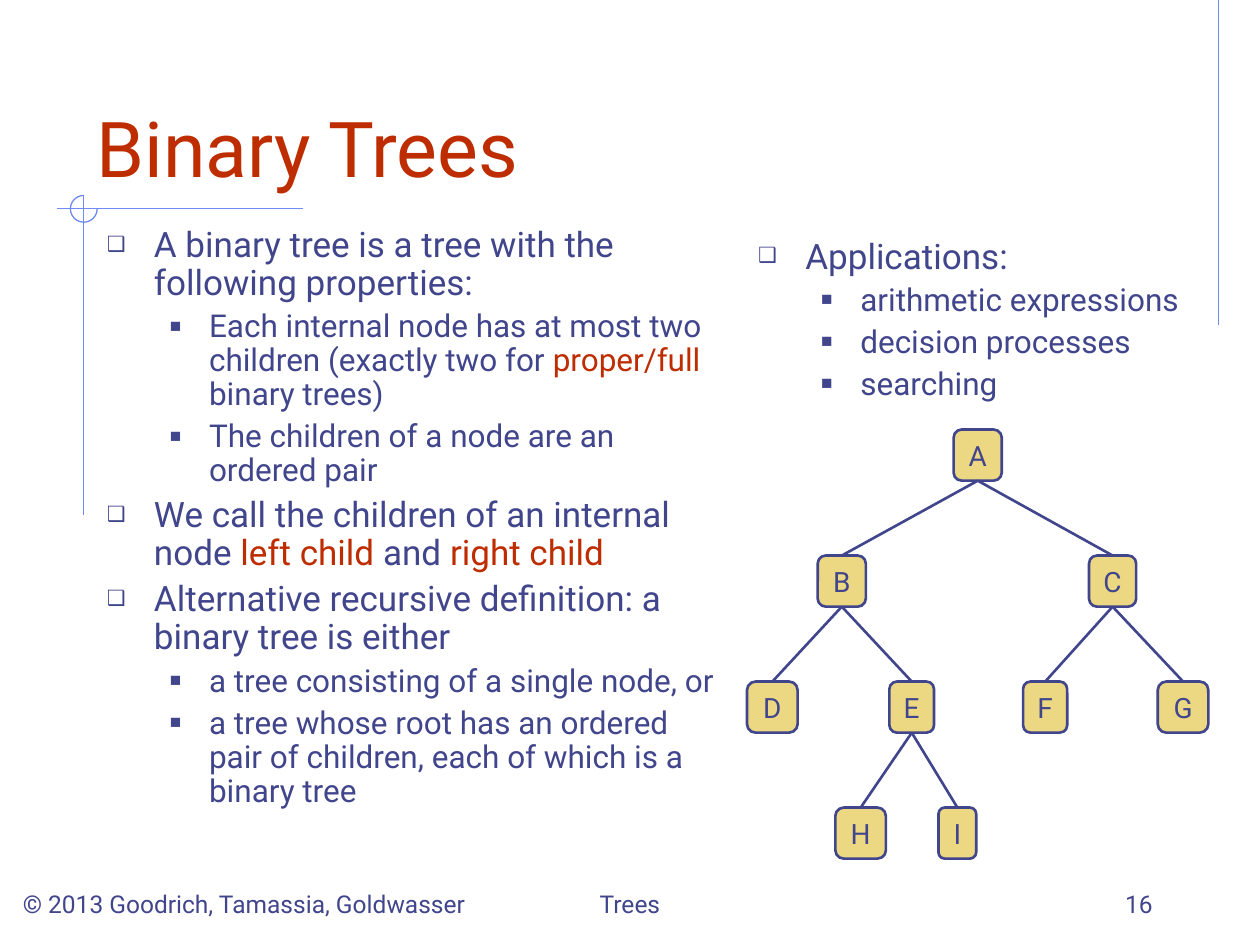
from dataclasses import dataclass
from typing import NamedTuple

from lxml import etree
from pptx import Presentation
from pptx.dml.color import RGBColor
from pptx.enum import shapes, text
from pptx.oxml import ns
from pptx.util import Cm, Pt


@dataclass(frozen=True)
class Theme:
    font: str = "Roboto"
    ink: str = "40458C"
    accent: str = "BE2D00"
    rule: str = "6F89F7"
    node: str = "ECD882"
    title_size: float = 44
    node_size: float = 16
    footer_size: float = 14


class Box(NamedTuple):
    left: float
    top: float
    width: float
    height: float


class ListLevel(NamedTuple):
    size: float
    bullet: str
    margin: float
    hanging: float
    space_before: float


class Item(NamedTuple):
    level: int
    content: str  # parts between asterisks take the accent colour


class Node(NamedTuple):
    center: float
    depth: int
    width: float
    parent: str


THEME = Theme()
LEVELS = (ListLevel(20, "❑", 0.95, 0.95, 5), ListLevel(18, "■", 2.06, 0.79, 4.5))

PROPERTIES = (
    Item(0, "A binary tree is a tree with the following properties:"),
    Item(1, "Each internal node has at most two children "
            "(exactly two for *proper/full* binary trees)"),
    Item(1, "The children of a node are an ordered pair"),
    Item(0, "We call the children of an internal node *left child* and *right child*"),
    Item(0, "Alternative recursive definition: a binary tree is either"),
    Item(1, "a tree consisting of a single node, or"),
    Item(1, "a tree whose root has an ordered pair of children, "
            "each of which is a binary tree"),
)
APPLICATIONS = (
    Item(0, "Applications:"),
    Item(1, "arithmetic expressions"),
    Item(1, "decision processes"),
    Item(1, "searching"),
)

TREE = {
    "A": Node(19.71, 0, 0.97, ""),
    "B": Node(16.97, 1, 0.97, "A"),
    "C": Node(22.43, 1, 0.95, "A"),
    "D": Node(15.57, 2, 1.02, "B"),
    "E": Node(18.38, 2, 0.90, "B"),
    "F": Node(21.07, 2, 0.89, "C"),
    "G": Node(23.85, 2, 1.02, "C"),
    "H": Node(17.35, 3, 1.02, "E"),
    "I": Node(19.30, 3, 0.76, "E"),
}
TREE_TOP, LEVEL_PITCH, NODE_HEIGHT = 8.66, 2.54, 1.03


def place(shape, box: Box) -> None:
    shape.left, shape.top, shape.width, shape.height = map(Cm, box)


def style_font(font, size: float, color: str) -> None:
    font.name = THEME.font
    font.size = Pt(size)
    font.color.rgb = RGBColor.from_string(color)


def set_label(shape, content: str, size: float, color: str, alignment, anchor) -> None:
    frame = shape.text_frame
    frame.text = content
    frame.auto_size = text.MSO_AUTO_SIZE.NONE
    frame.vertical_anchor = anchor
    paragraph = frame.paragraphs[0]
    paragraph.alignment = alignment
    style_font(paragraph.runs[0].font, size, color)


def add_bullet(paragraph, level: ListLevel) -> None:
    properties = paragraph._p.get_or_add_pPr()
    properties.set("marL", str(Cm(level.margin)))
    properties.set("indent", str(-Cm(level.hanging)))
    color = etree.SubElement(properties, ns.qn("a:buClr"))
    etree.SubElement(color, ns.qn("a:srgbClr"), val=THEME.ink)
    etree.SubElement(properties, ns.qn("a:buSzPct"), val="60000")
    etree.SubElement(properties, ns.qn("a:buChar"), char=level.bullet)


def fill_list(placeholder, box: Box, items: tuple[Item, ...], first_spacing: float) -> None:
    place(placeholder, box)
    frame = placeholder.text_frame
    frame.auto_size = text.MSO_AUTO_SIZE.NONE
    for index, item in enumerate(items):
        paragraph = frame.add_paragraph() if index else frame.paragraphs[0]
        level = LEVELS[item.level]
        paragraph.level = item.level
        add_bullet(paragraph, level)
        paragraph.line_spacing = 0.9 if index else first_spacing
        paragraph.space_before = Pt(level.space_before if index else 0)
        for part, content in enumerate(item.content.split("*")):
            if content:
                run = paragraph.add_run()
                run.text = content
                style_font(run.font, level.size, THEME.accent if part % 2 else THEME.ink)


def add_line(slide, start: tuple[float, float], end: tuple[float, float],
             color: str, width: float):
    line = slide.shapes.add_connector(
        shapes.MSO_CONNECTOR.STRAIGHT, *map(Cm, (*start, *end)))
    line.line.color.rgb = RGBColor.from_string(color)
    line.line.width = Pt(width)
    etree.SubElement(line._element.spPr, ns.qn("a:effectLst"))
    return line


def add_decoration(slide) -> None:
    for start, end in (((24.56, 0), (24.56, 6.55)),
                       ((6.1, 4.21), (1.14, 4.21)),
                       ((1.69, 3.94), (1.69, 10.39))):
        add_line(slide, start, end, THEME.rule, 0.75)
    arc = slide.shapes.add_shape(
        shapes.MSO_SHAPE.ARC, *map(Cm, Box(1.42, 3.94, 0.54, 0.54)))
    arc.adjustments[0], arc.adjustments[1] = 0, 162  # three quarters of a circle
    arc.shadow.inherit = False
    arc.fill.background()
    arc.line.color.rgb = RGBColor.from_string(THEME.rule)
    arc.line.width = Pt(0.75)


def add_node(slide, name: str, node: Node):
    box = Box(node.center - node.width / 2, TREE_TOP + node.depth * LEVEL_PITCH,
              node.width, NODE_HEIGHT)
    shape = slide.shapes.add_shape(shapes.MSO_SHAPE.ROUNDED_RECTANGLE, *map(Cm, box))
    shape.shadow.inherit = False
    shape.fill.solid()
    shape.fill.fore_color.rgb = RGBColor.from_string(THEME.node)
    shape.line.color.rgb = RGBColor.from_string(THEME.ink)
    shape.line.width = Pt(1.5)
    set_label(shape, name, THEME.node_size, THEME.ink,
              text.PP_ALIGN.CENTER, text.MSO_ANCHOR.MIDDLE)
    shape.text_frame.word_wrap = False
    return shape


def add_tree(slide) -> None:
    nodes = {name: add_node(slide, name, node) for name, node in TREE.items()}
    for name, node in TREE.items():
        if node.parent:
            edge = add_line(slide, (0, 0), (0, 0), THEME.ink, 1.5)
            edge.begin_connect(nodes[node.parent], 2)
            edge.end_connect(nodes[name], 0)


def add_footer(slide, content: str, box: Box, alignment) -> None:
    footer = slide.shapes.add_textbox(*map(Cm, box))
    footer.text_frame.word_wrap = True
    set_label(footer, content, THEME.footer_size, THEME.ink,
              alignment, text.MSO_ANCHOR.BOTTOM)


def main() -> None:
    presentation = Presentation()
    presentation.slide_width, presentation.slide_height = Cm(25.4), Cm(19.05)
    slide = presentation.slides.add_slide(presentation.slide_layouts[3])

    # Title and the two lists
    title, properties, applications = slide.placeholders
    place(title, Box(1.69, 0.85, 21.59, 3.17))
    set_label(title, "Binary Trees", THEME.title_size, THEME.accent,
              text.PP_ALIGN.LEFT, text.MSO_ANCHOR.BOTTOM)
    fill_list(properties, Box(1.9, 4.45, 12.91, 13.12), PROPERTIES, 0.9)
    fill_list(applications, Box(15.03, 4.6, 9.1, 4.45), APPLICATIONS, 1)

    # Rules, tree and footer
    add_decoration(slide)
    add_tree(slide)
    align = text.PP_ALIGN
    add_footer(slide, "© 2013 Goodrich, Tamassia, Goldwasser",
               Box(0.21, 17.36, 9.95, 1.27), align.LEFT)
    add_footer(slide, "Trees", Box(8.68, 17.36, 8.04, 1.27), align.CENTER)
    add_footer(slide, "16", Box(18.2, 17.36, 5.29, 1.27), align.RIGHT)

    presentation.save("out.pptx")


if __name__ == "__main__":
    main()
